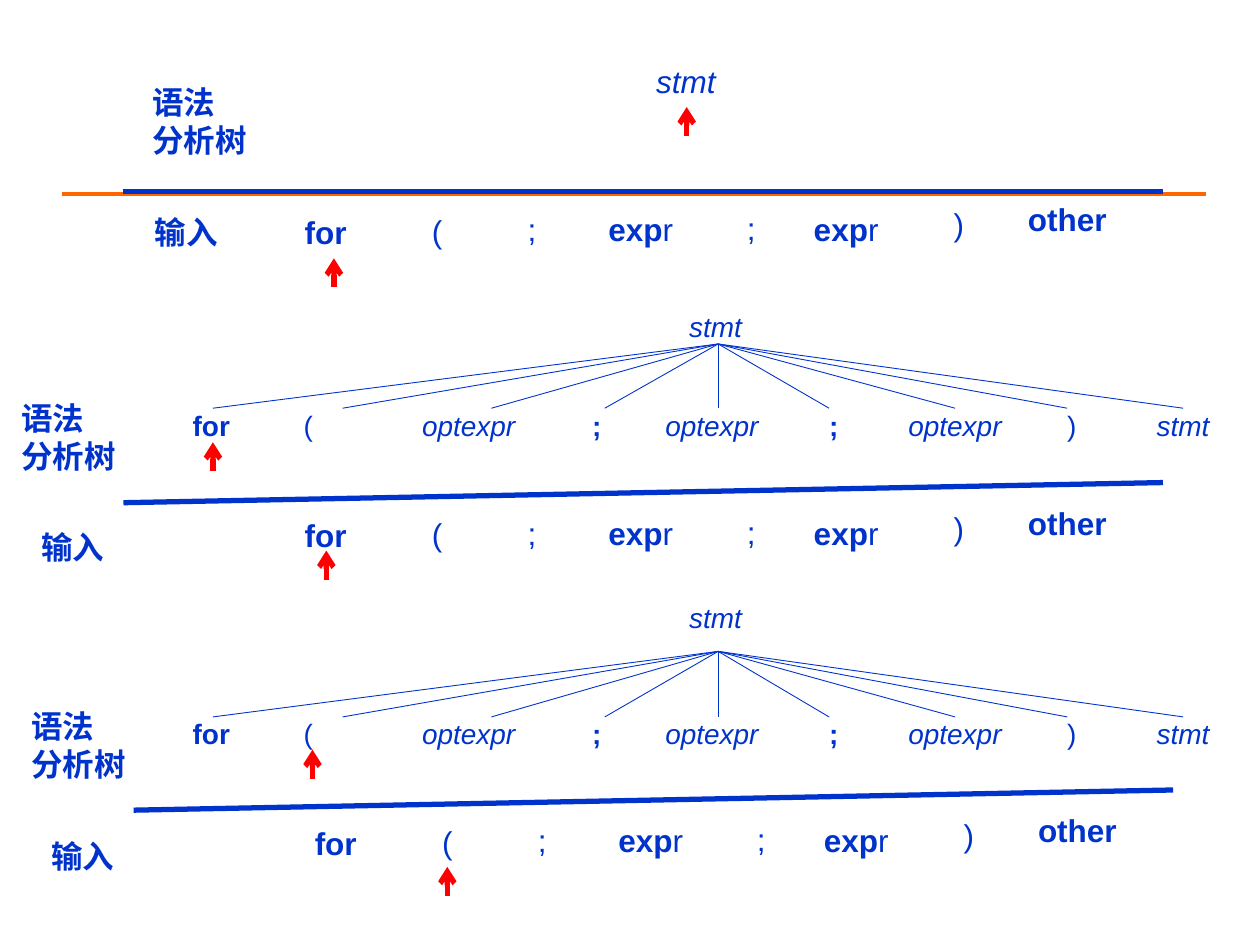
from dataclasses import dataclass
from pptx import Presentation
from pptx import util as u
from pptx.dml.color import RGBColor
from pptx.enum import shapes, text
from pptx.oxml.ns import qn
from lxml import etree

# Grid: 100 columns by 75 rows of square cells on a 10 x 7.5 inch slide
CELL = u.Inches(10) // 100
COLS, ROWS = 100, 75
COLORS = {"ink": "0033CC", "rule": "FF6600", "marker": "FF0000"}
FONT = "Arial"


@dataclass(frozen=True)
class Token:
    """A word: runs of (text, style), left column, width, row offset, edge end."""
    runs: tuple
    col: float
    width: float
    drop: float = 0
    edge: float = 0


@dataclass(frozen=True)
class Stage:
    """One parsing step: places of its labels, divider, input row and tree."""
    tree_label: tuple
    input_label: tuple
    divider: tuple
    input_shift: float
    input_row: float
    root_row: float = 0
    apex_row: float = 0
    leaf_row: float = 0


EXPR = (("exp", "b"), ("r", ""))
INPUT = (
    Token((("for", "b"),), 23.2, 5.4),
    Token((("(", ""),), 33.3, 2.9, -0.1),
    Token(((";", ""),), 40.9, 2.7, -0.2),
    Token(EXPR, 47.3, 7.2, -0.2),
    Token(((";", ""),), 58.3, 2.7, -0.3),
    Token(EXPR, 63.6, 7.2, -0.2),
    Token(((")", ""),), 74.7, 2.8, -0.6),
    Token((("other", "b"),), 80.6, 8.3, -1),
)
OPTEXPR = (("optexpr", "i"),)
STMT = (("stmt", "i"),)
LEAVES = (
    Token((("for", "b"),), 15.3, 3, edge=16.9),
    Token((("(", ""),), 24.1, 0.7, edge=27.2),
    Token(OPTEXPR, 33.5, 7.5, edge=39),
    Token(((";", "b"),), 47, 2, edge=48),
    Token(OPTEXPR, 52.8, 7.5, edge=57),
    Token(((";", "b"),), 65.8, 0.7, edge=65.8),
    Token(OPTEXPR, 72.1, 7.5, edge=75.8),
    Token(((")", ""),), 84.7, 0.8, edge=84.7),
    Token(STMT, 91.8, 4.3, edge=93.9),
)
APEX_COL = 57
STAGES = (
    Stage((11.1, 6.1), (11.3, 16.4), (9.8, 15.2, 92.3, 15.2), 0, 16.4),
    Stage((0.7, 31.2), (2.3, 41.4), (9.8, 39.9, 92.3, 38.3), 0, 40.5, 24.6, 27.3, 32.4),
    Stage((1.5, 55.6), (3.1, 65.9), (10.6, 64.3, 93.1, 62.7), 0.8, 64.9, 47.7, 51.7, 56.9),
)
# Column and tip row of each marker arrow
MARKERS = ((54.5, 8.5), (26.5, 20.5), (16.9, 35.1), (25.9, 43.7), (24.8, 59.5), (35.5, 68.8))
MARKER_LENGTH = 2.3


def grid(n: float) -> int:
    return round(n * CELL)


def add_text(slide, lines: tuple, col: float, row: float, width: float, height: float,
             size: int = 18, inset: bool = True) -> None:
    box = slide.shapes.add_textbox(grid(col), grid(row), grid(width), grid(height))
    tf = box.text_frame
    tf.word_wrap = False
    tf.auto_size = text.MSO_AUTO_SIZE.SHAPE_TO_FIT_TEXT
    if not inset:
        tf.margin_left = tf.margin_right = tf.margin_top = tf.margin_bottom = 0
    for i, runs in enumerate(lines):
        p = tf.add_paragraph() if i else tf.paragraphs[0]
        for words, style in runs:
            r = p.add_run()
            r.text = words
            r.font.name, r.font.size = FONT, u.Pt(size)
            r.font.bold, r.font.italic = "b" in style, "i" in style
            r.font.color.rgb = RGBColor.from_string(COLORS["ink"])


def add_line(slide, x1: float, y1: float, x2: float, y2: float,
             color: str, weight: float, arrow: bool = False) -> None:
    line = slide.shapes.add_connector(shapes.MSO_CONNECTOR.STRAIGHT,
                                      grid(x1), grid(y1), grid(x2), grid(y2))
    line.line.color.rgb = RGBColor.from_string(COLORS[color])
    line.line.width = u.Pt(weight)
    if arrow:
        ln = line.line._get_or_add_ln()
        etree.SubElement(ln, qn("a:tailEnd"), type="arrow")
    etree.SubElement(line._element.spPr, qn("a:effectLst"))


def add_tree(slide, stage: Stage) -> None:
    add_text(slide, (STMT,), 54.7, stage.root_row, 4.3, 2.7, 16, False)
    for leaf in LEAVES:
        add_text(slide, (leaf.runs,), leaf.col, stage.leaf_row, leaf.width, 2.7, 16, False)
        add_line(slide, APEX_COL, stage.apex_row, leaf.edge, stage.leaf_row, "ink", 0.5)


def add_stage(slide, stage: Stage) -> None:
    if stage.leaf_row:
        add_tree(slide, stage)
    else:
        add_text(slide, (STMT,), 51.1, 4.4, 6.8, 4)
    add_line(slide, *stage.divider, "ink", 3)
    add_text(slide, ((("语法", "b"),), (("分析树", "b"),)), *stage.tree_label, 9.7, 7.1)
    add_text(slide, ((("输入", "b"),),), *stage.input_label, 7.1, 4)
    for token in INPUT:
        add_text(slide, (token.runs,), token.col + stage.input_shift,
                 stage.input_row + token.drop, token.width, 4)


def main() -> None:
    prs = Presentation()
    prs.slide_width, prs.slide_height = COLS * CELL, ROWS * CELL
    slide = prs.slides.add_slide(prs.slide_layouts[6])

    # Title rule
    add_line(slide, 4.9, 15.4, 95.7, 15.4, "rule", 2.25)

    # Parsing steps, then the arrows marking the current symbols
    for stage in STAGES:
        add_stage(slide, stage)
    for col, tip in MARKERS:
        add_line(slide, col, tip + MARKER_LENGTH, col, tip, "marker", 3, arrow=True)

    prs.save("out.pptx")


if __name__ == "__main__":
    main()
